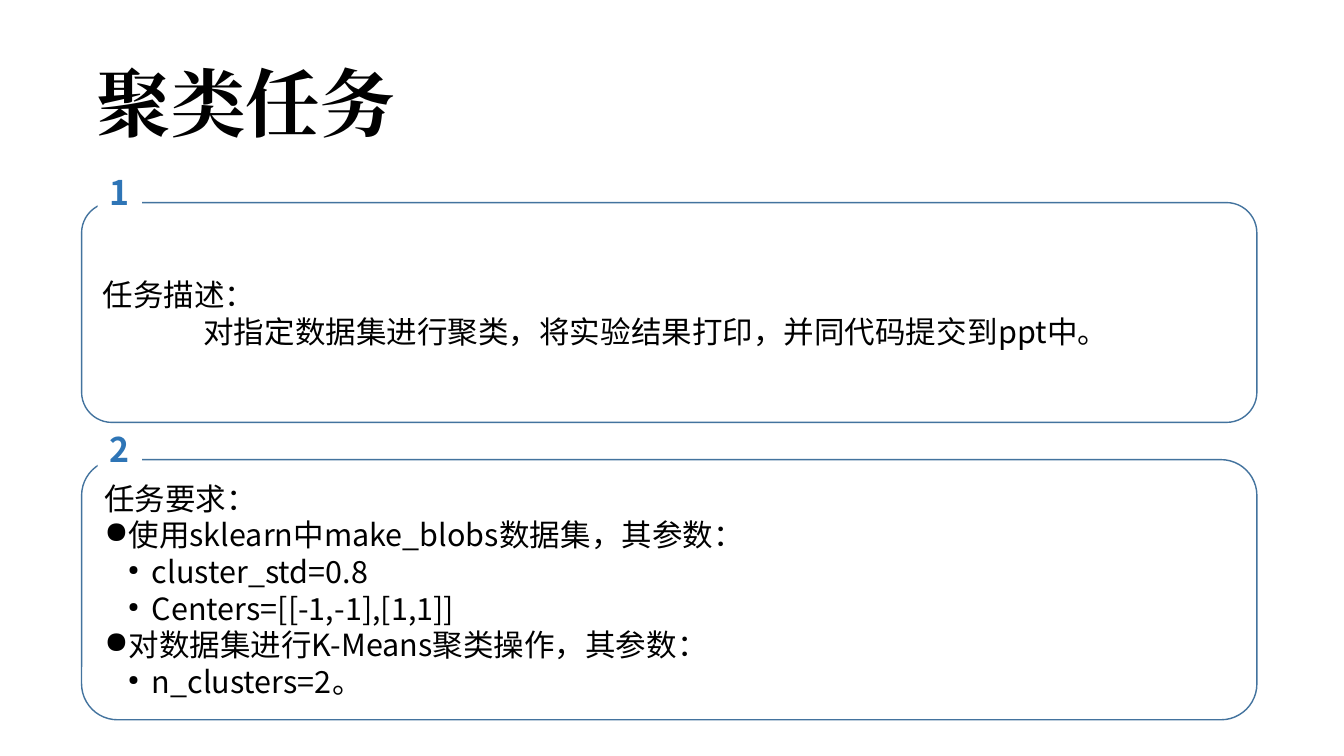
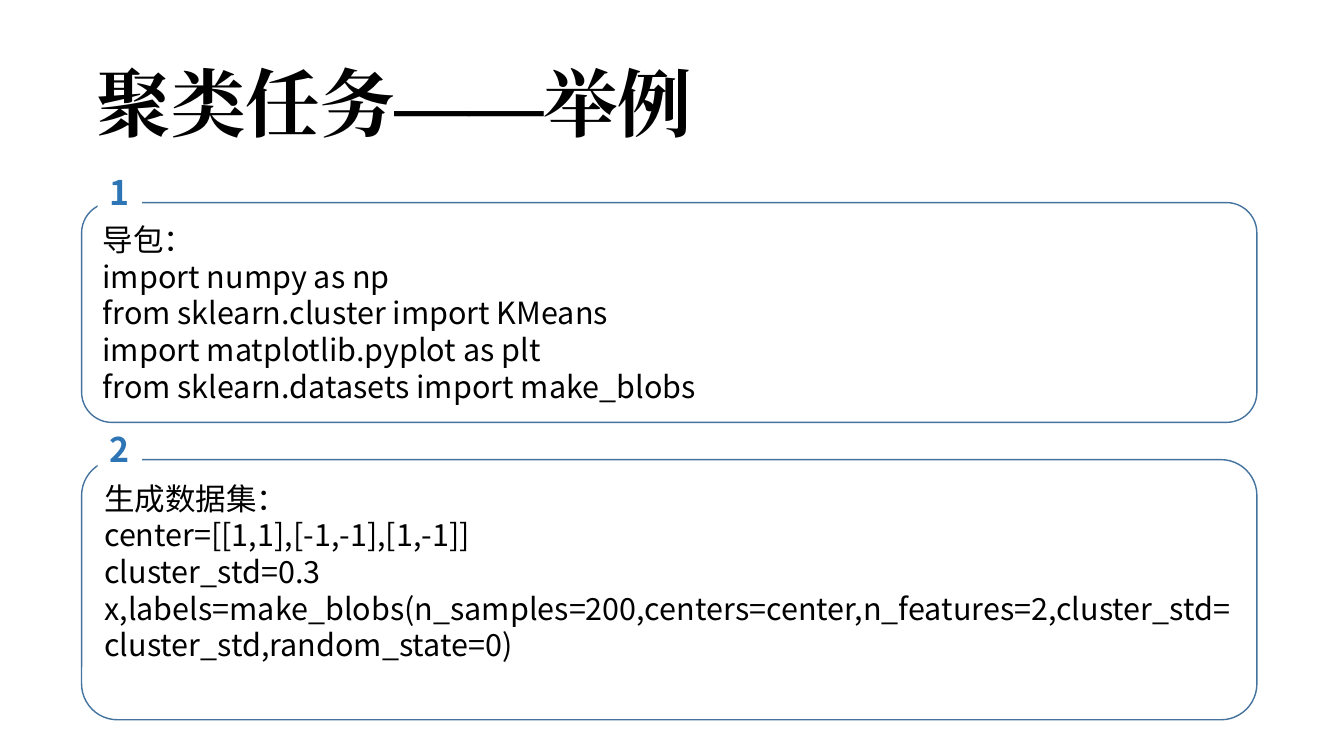
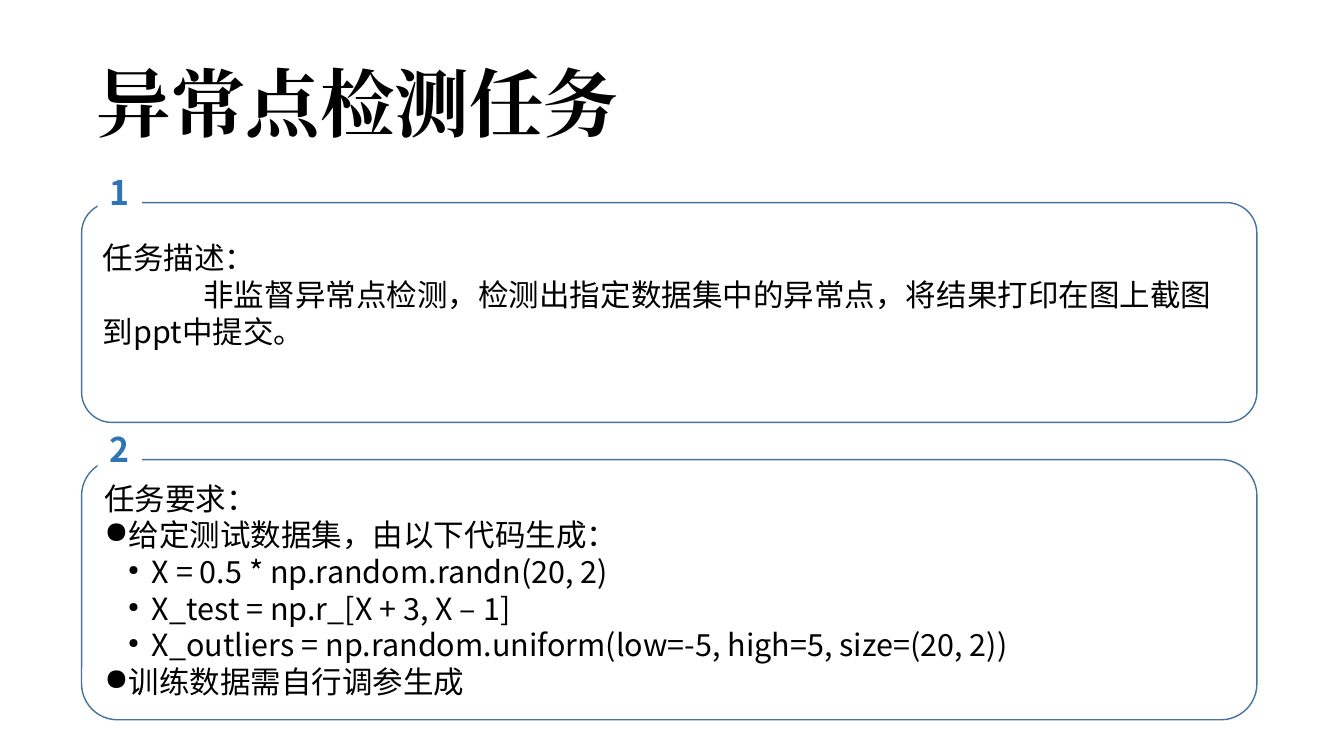
from pptx import Presentation
from pptx.dml import color
from pptx.enum import shapes, text
from pptx.oxml import ns
from pptx.util import Pt
from lxml import etree

INK, ACCENT, EDGE, PAPER = "000000", "2E75B6", "43739E", "FFFFFF"
SANS, SERIF = "Noto Sans CJK SC", "Times New Roman"
LINE = 26.2
PANEL_LEFT, PANEL_WIDTH = 58.3, 839.5
INSETS = {"margin_left": Pt(8.7), "margin_right": Pt(8.7),
          "margin_top": Pt(4.3), "margin_bottom": Pt(4.3)}
TITLE = {"size": Pt(53.2), "bold": True, "name": SERIF}
BODY = {"size": Pt(21.8), "bold": False, "name": SANS}
NUMBER = {"size": Pt(24.2), "bold": True, "name": SANS}
HEAD, ITEM, SUB, INDENTED = "head", "item", "sub", "indented"
BULLETS = {ITEM: (0, 17, 100), SUB: (1, 34, 45)}


def rgb(value):
    return color.RGBColor.from_string(value)


def assign(target, values):
    for name, value in values.items():
        setattr(target, name, value)


def add_element(parent, tag, **values):
    return etree.SubElement(parent, ns.qn(tag), values)


def write(para, words, style, ink):
    span = para.add_run()
    span.text = words
    assign(span.font, style)
    span.font.color.rgb = rgb(ink)
    add_element(span.font._element, "a:ea", typeface=style["name"])


def set_bullet(para, kind):
    level, margin, percent = BULLETS[kind]
    para.level = level
    props = para._p.get_or_add_pPr()
    props.set("marL", str(Pt(margin)))
    props.set("indent", str(-Pt(17)))
    ink = add_element(props, "a:buClr")
    add_element(ink, "a:srgbClr", val=INK)
    add_element(props, "a:buSzPct", val=str(percent * 1000))
    add_element(props, "a:buChar", char="●")


def add_title(page, words):
    title = page.shapes.title
    assign(title, {"left": Pt(62), "top": Pt(21), "width": Pt(734), "height": Pt(112)})
    assign(title.text_frame, {"vertical_anchor": text.MSO_ANCHOR.MIDDLE,
                              "auto_size": text.MSO_AUTO_SIZE.NONE})
    para = title.text_frame.paragraphs[0]
    assign(para, {"alignment": text.PP_ALIGN.LEFT, "line_spacing": 0.9})
    write(para, words, TITLE, INK)


def add_box(page, kind, left, top, width, height):
    box = page.shapes.add_shape(kind, Pt(left), Pt(top), Pt(width), Pt(height))
    box.shadow.inherit = False
    box.fill.solid()
    box.fill.fore_color.rgb = rgb(PAPER)
    assign(box.text_frame, INSETS)
    return box


def add_panel(page, number, top, height, lines, free_lines=0):
    panel = add_box(page, shapes.MSO_SHAPE.ROUNDED_RECTANGLE,
                    PANEL_LEFT, top, PANEL_WIDTH, height)
    panel.adjustments[0] = 0.138
    panel.line.color.rgb = rgb(EDGE)
    panel.line.width = Pt(1)
    frame = panel.text_frame
    assign(frame, {"word_wrap": True, "vertical_anchor": text.MSO_ANCHOR.MIDDLE,
                   "margin_bottom": Pt(4.3 + free_lines * LINE)})
    for index, (kind, words) in enumerate(lines):
        para = frame.add_paragraph() if index else frame.paragraphs[0]
        assign(para, {"alignment": text.PP_ALIGN.LEFT, "line_spacing": Pt(LINE)})
        if kind in BULLETS:
            set_bullet(para, kind)
        elif kind == INDENTED:
            para._p.get_or_add_pPr().set("indent", str(Pt(72)))
        write(para, words, BODY, INK)

    tag = add_box(page, shapes.MSO_SHAPE.RECTANGLE,
                  PANEL_LEFT + 11.5, top - 26.6, 31.7, 37.4)
    tag.line.fill.background()
    assign(tag.text_frame, {"word_wrap": False, "vertical_anchor": text.MSO_ANCHOR.TOP})
    para = tag.text_frame.paragraphs[0]
    assign(para, {"alignment": text.PP_ALIGN.LEFT, "line_spacing": Pt(29)})
    write(para, str(number), NUMBER, ACCENT)


def add_task_page(deck, title, first, second, first_free=0, second_free=0):
    page = deck.slides.add_slide(deck.slide_layouts[5])
    add_title(page, title)
    add_panel(page, 2, 328.3, 185.8, second, second_free)
    add_panel(page, 1, 144.7, 157, first, first_free)


def main():
    deck = Presentation()
    assign(deck, {"slide_width": Pt(960), "slide_height": Pt(540)})
    add_task_page(
        deck, "聚类任务",
        [(HEAD, "任务描述："),
         (INDENTED, "对指定数据集进行聚类，将实验结果打印，并同代码提交到ppt中。")],
        [(HEAD, "任务要求："),
         (ITEM, "使用sklearn中make_blobs数据集，其参数："),
         (SUB, "cluster_std=0.8"),
         (SUB, "Centers=[[-1,-1],[1,1]]"),
         (ITEM, "对数据集进行K-Means聚类操作，其参数："),
         (SUB, "n_clusters=2。")])
    add_task_page(
        deck, "聚类任务——举例",
        [(HEAD, "导包："),
         (HEAD, "import numpy as np"),
         (HEAD, "from sklearn.cluster import KMeans"),
         (HEAD, "import matplotlib.pyplot as plt"),
         (HEAD, "from sklearn.datasets import make_blobs")],
        [(HEAD, "生成数据集："),
         (HEAD, "center=[[1,1],[-1,-1],[1,-1]]"),
         (HEAD, "cluster_std=0.3"),
         (HEAD, "x,labels=make_blobs(n_samples=200,centers=center,n_features=2,"
                "cluster_std=cluster_std,random_state=0)")],
        second_free=1)
    add_task_page(
        deck, "异常点检测任务",
        [(HEAD, "任务描述："),
         (INDENTED, "非监督异常点检测，检测出指定数据集中的异常点，"
                    "将结果打印在图上截图到ppt中提交。")],
        [(HEAD, "任务要求："),
         (ITEM, "给定测试数据集，由以下代码生成："),
         (SUB, "X = 0.5 * np.random.randn(20, 2)"),
         (SUB, "X_test = np.r_[X + 3, X – 1]"),
         (SUB, "X_outliers = np.random.uniform(low=-5, high=5, size=(20, 2))"),
         (ITEM, "训练数据需自行调参生成")],
        first_free=1)
    deck.save("out.pptx")


if __name__ == "__main__":
    main()
